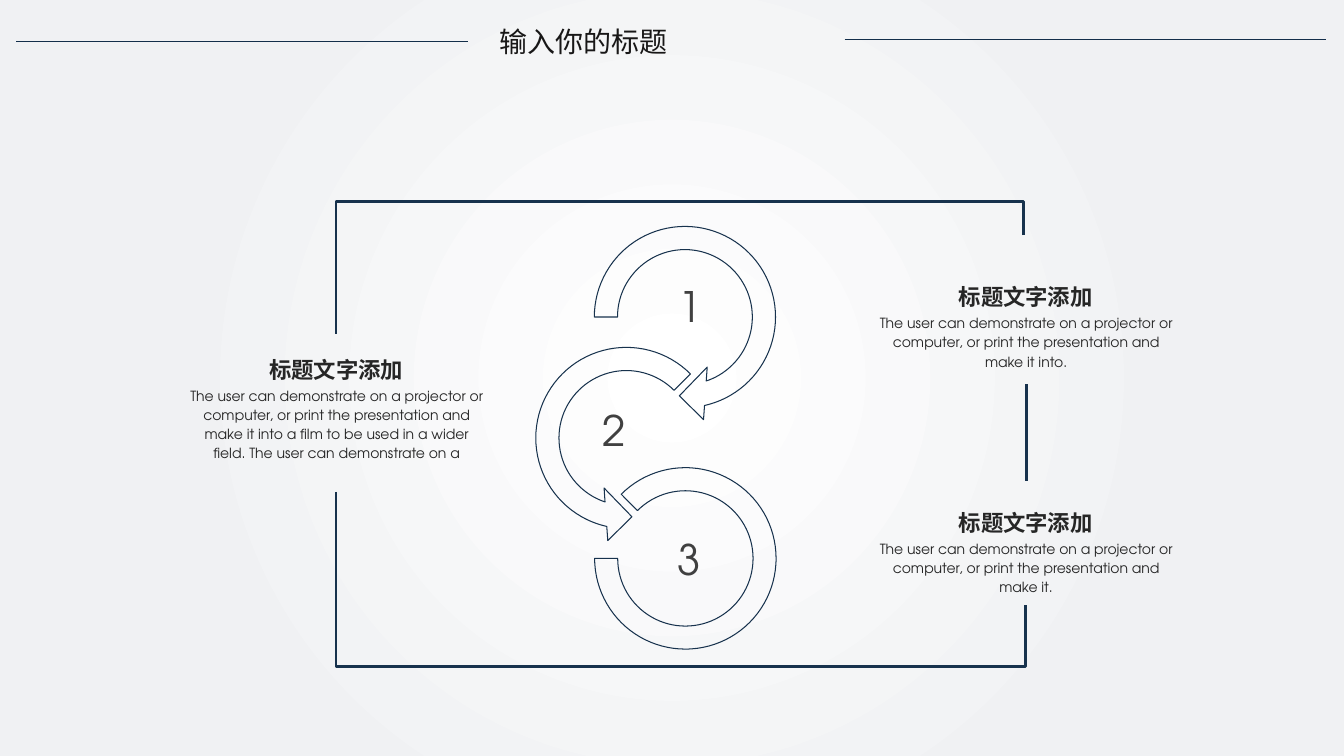
from dataclasses import dataclass
from lxml.etree import SubElement
from pptx import Presentation
from pptx.dml.color import RGBColor
from pptx.enum.shapes import MSO_CONNECTOR, MSO_SHAPE
from pptx.enum.text import MSO_ANCHOR, MSO_AUTO_SIZE, PP_ALIGN
from pptx.oxml.ns import qn
from pptx.util import Pt


@dataclass(frozen=True)
class Theme:
    navy: str = "17324D"
    rule: str = "132E4A"
    title: str = "181717"
    text: str = "262626"
    digit: str = "404040"
    glow: str = "FFFFFF"
    edge: str = "F0F1F3"
    latin: str = "TeX Gyre Adventor"
    asian: str = "Noto Sans CJK SC"
    title_size: int = 20
    head_size: int = 16
    body_size: int = 10
    digit_size: int = 30


THEME = Theme()


def paint(slide):
    fill = slide.background.fill
    fill.gradient()
    stops = zip(fill.gradient_stops, (0, 0.67), (THEME.glow, THEME.edge))
    for stop, place, color in stops:
        stop.position = place
        stop.color.rgb = RGBColor.from_string(color)
    grad = slide.element.find(".//" + qn("a:gradFill"))
    grad.remove(grad.find(qn("a:lin")))
    path = SubElement(grad, qn("a:path"), path="circle")
    SubElement(path, qn("a:fillToRect"), {side: "50000" for side in "ltrb"})


def style(para, text, size, color, font, align=PP_ALIGN.CENTER, bold=False, space=1):
    para.text = text
    para.alignment = align
    para.line_spacing = space
    para.font.size = Pt(size)
    para.font.bold = bold
    para.font.name = font
    para.font.color.rgb = RGBColor.from_string(color)
    base = para._p.pPr.find(qn("a:defRPr"))
    SubElement(base, qn("a:ea"), typeface=font)


def label(slide, box, text, size, color, font, **look):
    frame = slide.shapes.add_textbox(*map(Pt, box)).text_frame
    frame.word_wrap = True
    style(frame.paragraphs[0], text, size, color, font, **look)


def stroke(shape, color, width):
    shape.line.color.rgb = RGBColor.from_string(color)
    shape.line.width = Pt(width)


def outline(shape, width):
    shape.shadow.inherit = False
    shape.fill.background()
    stroke(shape, THEME.navy, width)


def rule(slide, ends, color, width):
    line = slide.shapes.add_connector(MSO_CONNECTOR.STRAIGHT, *map(Pt, ends))
    stroke(line, color, width)
    SubElement(line._element.spPr, qn("a:effectLst"))


def header(slide, box, text):
    x, y, w, h = box
    title = slide.shapes.title
    title.left, title.top = Pt(x + 345.5), Pt(y + 3.2)
    title.width, title.height = Pt(216.7), Pt(h - 6.4)
    frame = title.text_frame
    frame.margin_left = frame.margin_right = 0
    frame.margin_top = frame.margin_bottom = 0
    frame.vertical_anchor = MSO_ANCHOR.MIDDLE
    frame.auto_size = MSO_AUTO_SIZE.NONE
    frame.word_wrap = True
    style(frame.paragraphs[0], text, THEME.title_size, THEME.title,
          THEME.asian, align=PP_ALIGN.JUSTIFY)
    for left, right, drop in ((0, 322.5, 15.4), (591.8, w, 14)):
        rule(slide, (x + left, y + drop, x + right, y + drop), THEME.rule, 1)


def border(slide, box):
    x, y, w, h = box
    top = ((w - 2, 24), (w - 2, 0), (0, 0), (0, 94.5))
    base = ((0, 207.4), (0, h), (w - 0.5, h), (w - 0.5, h - 44))
    for route in (top, base):
        points = [(Pt(x + dx), Pt(y + dy)) for dx, dy in route]
        pen = slide.shapes.build_freeform(*points[0])
        pen.add_line_segments(points[1:], close=False)
        outline(pen.convert_to_shape(), 2)
    rule(slide, (x + w, y + 199.4, x + w, y + 130.3), THEME.navy, 2)


def chain(slide, box):
    x, y, w, h = box
    arcs = (
        (MSO_SHAPE.CIRCULAR_ARROW, 41.8, 0, 150.5, (0.11, 11.42, 45, 108, 0.125)),
        (MSO_SHAPE.LEFT_CIRCULAR_ARROW, 0, 86.4, 150.5, (0.11, 11.42, 63, 189, 0.125)),
        (MSO_SHAPE.BLOCK_ARC, w - 139.6, h - 129.6, 129.6, (135, 108, 0.127)),
    )
    for kind, left, top, size, turns in arcs:
        arc = slide.shapes.add_shape(kind, Pt(x + left), Pt(y + top), Pt(size), Pt(size))
        for spot, turn in enumerate(turns):
            arc.adjustments[spot] = turn
        outline(arc, 0.75)
    for digit, left, top in (("1", 96.5, 45.4), ("2", 42.5, 133.9), ("3", 95.8, 226.1)):
        label(slide, (x + left, y + top, 48.2, 43.9), digit,
              THEME.digit_size, THEME.digit, THEME.latin)


def card(slide, box, head, body):
    x, y, w, h = box
    label(slide, (x + 25.2, y, w - 51, 30.2), head, THEME.head_size,
          THEME.text, THEME.asian, bold=True, space=1.2)
    label(slide, (x, y + 24.5, w, h - 24.5), body, THEME.body_size,
          THEME.text, THEME.latin, space=1.14)


def main():
    deck = Presentation()
    deck.slide_width, deck.slide_height = Pt(960), Pt(540)
    slide = deck.slides.add_slide(deck.slide_layouts[5])
    paint(slide)
    chain(slide, (372.2, 151.2, 192.2, 312.5))
    border(slide, (240, 144, 493, 332))
    lead = "The user can demonstrate on a projector or computer, or print the presentation and make it"
    cards = (
        ((619.2, 195.1, 227.5, 73.5), " into."),
        ((619.2, 356.4, 227.5, 73.5), "."),
        ((126.7, 247, 227.5, 87.1),
         " into a film to be used in a wider field. The user can demonstrate on a"),
    )
    for box, tail in cards:
        card(slide, box, "标题文字添加", lead + tail)
    header(slide, (11.5, 14.1, 936, 30.9), "输入你的标题")
    deck.save("out.pptx")


if __name__ == "__main__":
    main()
